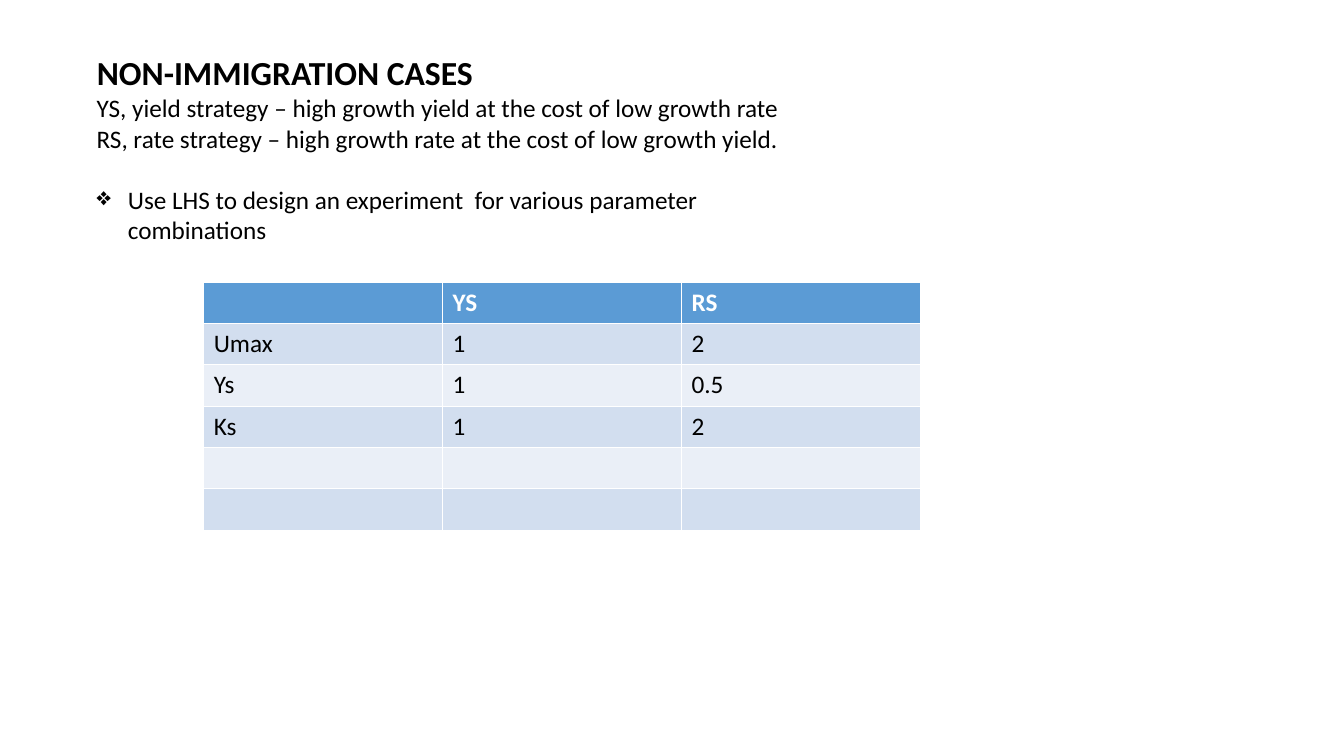
from lxml.etree import SubElement
from pptx import Presentation
from pptx.dml.color import RGBColor
from pptx.enum.text import MSO_ANCHOR, MSO_AUTO_SIZE, PP_ALIGN
from pptx.oxml.ns import qn
from pptx.util import Inches, Pt

# Content
TITLE = "NON-IMMIGRATION CASES"
NOTES = [
    "YS, yield strategy – high growth yield at the cost of low growth rate",
    "RS, rate strategy – high growth rate at the cost of low growth yield.",
]
STEP = "Use LHS to design an experiment  for various parameter combinations"
ROWS = [
    ("", "YS", "RS"),
    ("Umax", "1", "2"),
    ("Ys", "1", "0.5"),
    ("Ks", "1", "2"),
    ("", "", ""),
    ("", "", ""),
]
COLORS = {"ink": "000000", "white": "FFFFFF", "head": "5B9BD5",
          "odd": "D2DEEF", "even": "EAEFF7"}

# Formats
HEAD = {"name": "Calibri", "size": Pt(24), "bold": True}
BODY = {"name": "Calibri", "size": Pt(18), "bold": False}
TOP = {**BODY, "bold": True}
FRAME = {"word_wrap": True, "auto_size": MSO_AUTO_SIZE.NONE,
         "vertical_anchor": MSO_ANCHOR.TOP,
         "margin_left": Inches(0.1), "margin_right": Inches(0.1),
         "margin_top": Inches(0.05), "margin_bottom": Inches(0)}

# Layout, in inches
LEFT, WIDE = 0.86, 7.11
TITLE_Y, TITLE_H = 0.46, 0.41
BODY_H = 1.61
GRID_X, GRID_Y, COL_W, ROW_H = 2.02, 2.8, 2.37, 0.41
INDENT = 0.31


def style(obj, form):
    for key, value in form.items():
        setattr(obj, key, value)


def write(para, text, form, color="ink"):
    run = para.add_run()
    run.text = text
    style(run.font, form)
    run.font.color.rgb = RGBColor.from_string(COLORS[color])
    para.alignment = PP_ALIGN.LEFT


def bullet(para, char):
    props = para._p.get_or_add_pPr()
    props.set("marL", str(Inches(INDENT)))
    props.set("indent", str(-Inches(INDENT)))
    SubElement(props, qn("a:buChar")).set("char", char)


deck = Presentation()
deck.slide_width, deck.slide_height = Inches(13.33), Inches(7.5)
slide = deck.slides.add_slide(deck.slide_layouts[5])

# Title
title = slide.shapes.title
style(title, {"left": Inches(LEFT), "top": Inches(TITLE_Y),
              "width": Inches(WIDE), "height": Inches(TITLE_H)})
style(title.text_frame, FRAME)
write(title.text_frame.paragraphs[0], TITLE, HEAD)

# Strategy notes and bullet
box = slide.shapes.add_textbox(Inches(LEFT), Inches(TITLE_Y + TITLE_H),
                               Inches(WIDE), Inches(BODY_H))
frame = box.text_frame
style(frame, FRAME)
for i, text in enumerate(NOTES + [STEP]):
    para = frame.add_paragraph() if i else frame.paragraphs[0]
    write(para, text, BODY)
para.space_before = Pt(22)
bullet(para, "❖")

# Parameter table
count = len(ROWS[0])
table = slide.shapes.add_table(
    len(ROWS), count, Inches(GRID_X), Inches(GRID_Y),
    Inches(COL_W * count), Inches(ROW_H * len(ROWS))).table
for r, row in enumerate(ROWS):
    band = "head" if r == 0 else "odd" if r % 2 else "even"
    for c, text in enumerate(row):
        cell = table.cell(r, c)
        cell.fill.solid()
        cell.fill.fore_color.rgb = RGBColor.from_string(COLORS[band])
        if text:
            write(cell.text_frame.paragraphs[0], text,
                  BODY if r else TOP, "ink" if r else "white")

deck.save("out.pptx")
